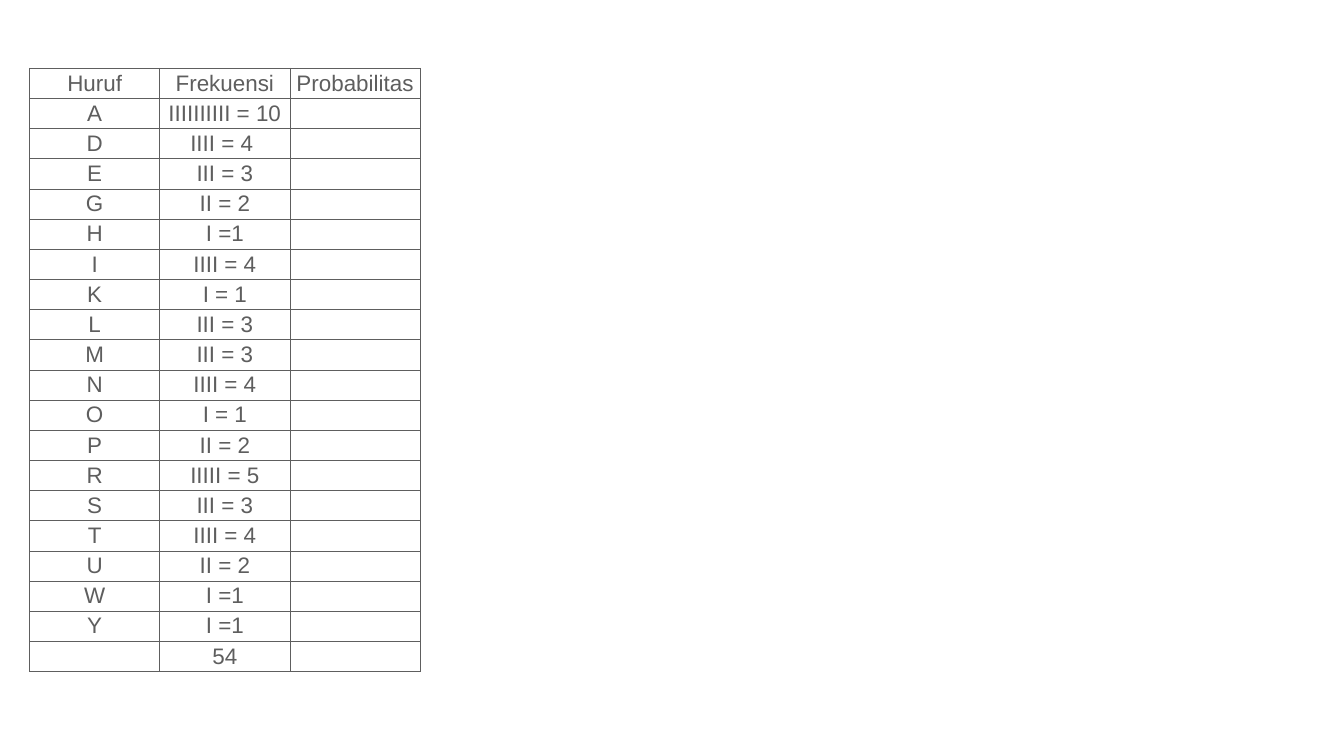
from lxml import etree
from pptx import Presentation
from pptx.dml.color import RGBColor
from pptx.enum.text import MSO_ANCHOR, PP_ALIGN
from pptx.oxml.ns import qn
from pptx.util import Pt

CENTER, MIDDLE = PP_ALIGN.CENTER, MSO_ANCHOR.MIDDLE
COLORS = {"ink": "5E5E5E", "paper": "FFFFFF"}
FONT = "Arial"

HEADER = ("Huruf", "Frekuensi", "Probabilitas")
TALLIES = [
    ("A", "IIIIIIIIII = 10"), ("D", "IIII = 4 "), ("E", "III = 3"),
    ("G", "II = 2"), ("H", "I =1"), ("I", "IIII = 4"), ("K", "I = 1"),
    ("L", "III = 3"), ("M", "III = 3"), ("N", "IIII = 4"), ("O", "I = 1"),
    ("P", "II = 2"), ("R", "IIIII = 5"), ("S", "III = 3"), ("T", "IIII = 4"),
    ("U", "II = 2"), ("W", "I =1"), ("Y", "I =1"),
]
TOTAL = ("", "54", "")


def add_borders(cell, color, width):
    """Draw a solid line on all four sides of a cell."""
    properties = cell._tc.get_or_add_tcPr()
    for side in ("a:lnL", "a:lnR", "a:lnT", "a:lnB"):
        line = etree.SubElement(properties, qn(side), w=str(Pt(width)))
        fill = etree.SubElement(line, qn("a:solidFill"))
        etree.SubElement(fill, qn("a:srgbClr"), val=color)


def style_cell(cell, text):
    add_borders(cell, COLORS["ink"], 1)
    cell.fill.background()
    cell.margin_top = cell.margin_bottom = Pt(3)
    cell.margin_left = cell.margin_right = Pt(4)
    cell.vertical_anchor = MIDDLE
    cell.text = text
    para = cell.text_frame.paragraphs[0]
    para.alignment = CENTER
    para.font.name = FONT
    para.font.size = Pt(32)
    para.font.color.rgb = RGBColor.from_string(COLORS["ink"])


def add_frequency_table(page, left, top, width, height):
    """Letter counts, with an empty column for the probabilities."""
    rows = [HEADER, *((letter, tally, "") for letter, tally in TALLIES), TOTAL]
    frame = page.shapes.add_table(len(rows), len(HEADER), Pt(left), Pt(top),
                                  Pt(width), Pt(height))
    table = frame.table
    table.first_row = table.horz_banding = False
    for column in table.columns:
        column.width = Pt(width / len(HEADER))
    for row, texts in zip(table.rows, rows):
        row.height = Pt(height / len(rows))
        for cell, text in zip(row.cells, texts):
            style_cell(cell, text)


deck = Presentation()
deck.slide_width, deck.slide_height = Pt(1920), Pt(1080)
page = deck.slides.add_slide(deck.slide_layouts[6])

# Background
page.background.fill.solid()
page.background.fill.fore_color.rgb = RGBColor.from_string(COLORS["paper"])

# Letter frequencies
add_frequency_table(page, 42.3, 97.5, 558, 862)

deck.save("out.pptx")
